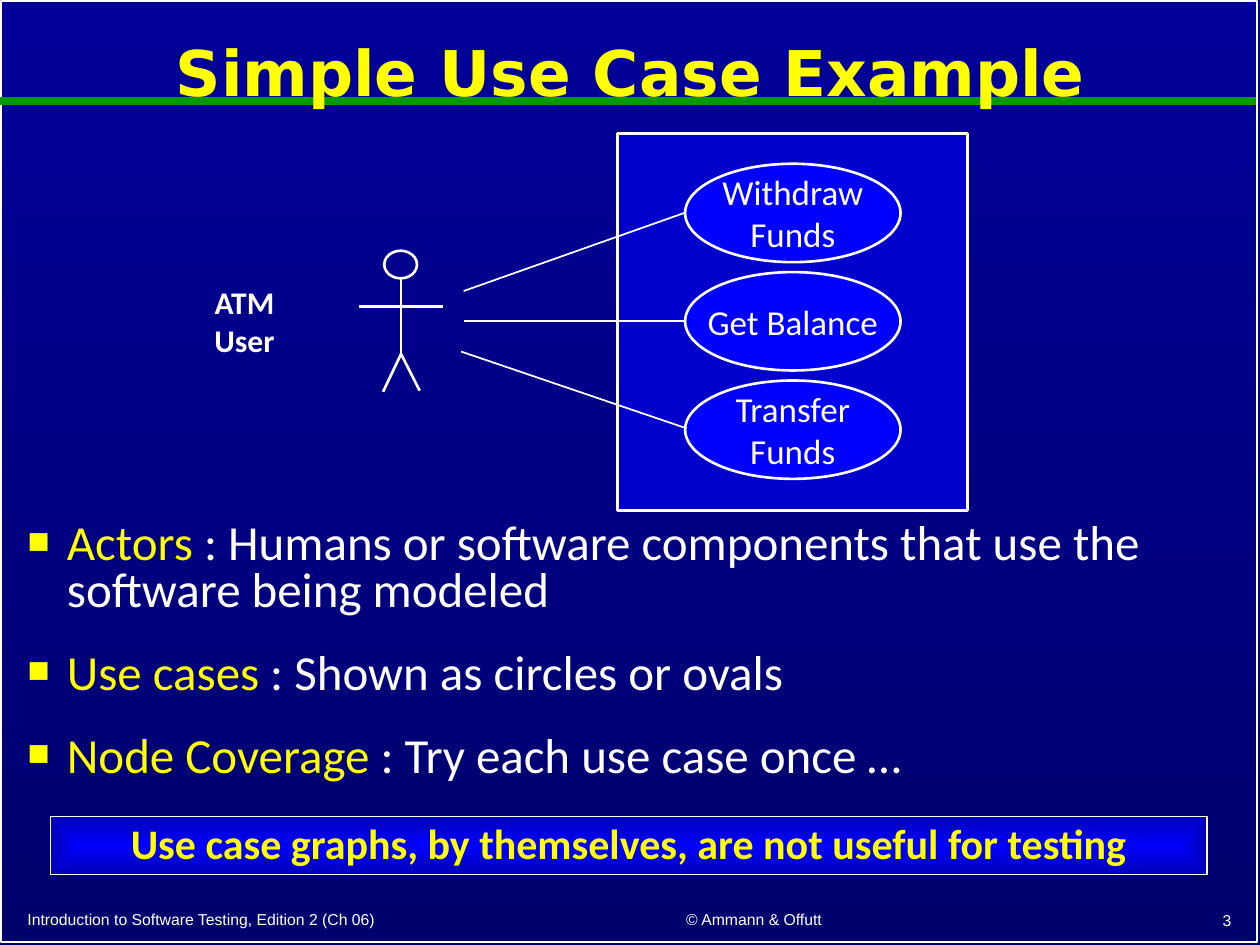
"""Build the simple use case example slide."""
from dataclasses import dataclass

import pptx
import pptx.dml.color
import pptx.enum.shapes
import pptx.enum.text
import pptx.oxml
import pptx.oxml.ns
import pptx.util

Pt = pptx.util.Pt
RGB = pptx.dml.color.RGBColor
ALIGN = pptx.enum.text.PP_ALIGN
ANCHOR = pptx.enum.text.MSO_ANCHOR
SHAPE = pptx.enum.shapes.MSO_SHAPE

WHITE = RGB(0xFF, 0xFF, 0xFF)
YELLOW = RGB(0xFF, 0xFF, 0x00)
GREEN = RGB(0x00, 0x99, 0x00)
SKY_TOP = RGB(0x00, 0x00, 0x99)
SKY_BOTTOM = RGB(0x00, 0x00, 0x6D)
SYSTEM_BLUE = RGB(0x00, 0x00, 0xCC)
OVAL_BLUE = RGB(0x00, 0x00, 0xFF)
BANNER_EDGE = RGB(0x00, 0x00, 0xB6)


@dataclass(frozen=True)
class Box:
    left: float
    top: float
    width: float
    height: float

    def lengths(self):
        return [Pt(v) for v in (self.left, self.top, self.width, self.height)]


@dataclass(frozen=True)
class Style:
    size: float
    font: str = "Calibri"
    color: RGB = WHITE
    bold: bool = False


@dataclass(frozen=True)
class Stroke:
    x1: float
    y1: float
    x2: float
    y2: float


@dataclass(frozen=True)
class UseCase:
    lines: tuple[str, ...]
    label_width: float


@dataclass(frozen=True)
class Term:
    name: str
    meaning: str


@dataclass(frozen=True)
class Footer:
    words: str
    box: Box
    align: ALIGN


FOOTER_STYLE = Style(9, "Arial")
LABEL_STYLE = Style(20)
TERM_STYLE = Style(28, color=YELLOW)
MEANING_STYLE = Style(28)

FOOTERS = (
    Footer("Introduction to Software Testing, Edition 2 (Ch 06)", Box(8.64, 515.5, 297.4, 19.5), ALIGN.LEFT),
    Footer("© Ammann & Offutt", Box(316.8, 515.5, 228.2, 20), ALIGN.CENTER),
    Footer("3", Box(560.9, 516.2, 149.8, 19.5), ALIGN.RIGHT),
)
ACTOR_STROKES = (
    Stroke(205.2, 175, 253.4, 175),
    Stroke(229.2, 159.1, 229.2, 202.3),
    Stroke(229.2, 202.3, 218.9, 223.9),
    Stroke(229.2, 202.3, 239.8, 223.2),
)
ASSOCIATIONS = (
    Stroke(391, 121.7, 265, 166.3),
    Stroke(391.7, 183.6, 265, 183.6),
    Stroke(392.4, 244.8, 263.5, 200.9),
)
USE_CASES = (
    UseCase(("Withdraw", "Funds"), 97.2),
    UseCase(("Get Balance",), 113),
    UseCase(("Transfer", "Funds"), 82.1),
)
FIRST_OVAL = Box(391.5, 93.6, 123.1, 56.2)
OVAL_STEP = 61.92
TERMS = (
    Term("Actors", " : Humans or software components that use the software being modeled"),
    Term("Use cases", " : Shown as circles or ovals"),
    Term("Node Coverage", " : Try each use case once …"),
)


def add_run(paragraph, words: str, style: Style) -> None:
    run = paragraph.add_run()
    run.text = words
    run.font.size = Pt(style.size)
    run.font.name = style.font
    run.font.bold = style.bold
    run.font.color.rgb = style.color


def write_lines(frame, lines, style: Style, align=ALIGN.CENTER, spacing=1.0) -> None:
    for index, words in enumerate(lines):
        paragraph = frame.add_paragraph() if index else frame.paragraphs[0]
        paragraph.alignment = align
        paragraph.line_spacing = spacing
        add_run(paragraph, words, style)


def add_frame(slide, box: Box, anchor=ANCHOR.TOP, wrap=False):
    frame = slide.shapes.add_textbox(*box.lengths()).text_frame
    frame.word_wrap = wrap
    frame.vertical_anchor = anchor
    return frame


def draw_shape(slide, kind, box: Box, weight: float, fill=None):
    shape = slide.shapes.add_shape(kind, *box.lengths())
    shape.shadow.inherit = False
    shape.line.color.rgb = WHITE
    shape.line.width = Pt(weight)
    if fill is None:
        shape.fill.background()
    else:
        shape.fill.solid()
        shape.fill.fore_color.rgb = fill
    return shape


def draw_stroke(slide, stroke: Stroke, weight: float, color=WHITE) -> None:
    connector = slide.shapes.add_connector(
        pptx.enum.shapes.MSO_CONNECTOR.STRAIGHT,
        Pt(stroke.x1), Pt(stroke.y1), Pt(stroke.x2), Pt(stroke.y2))
    connector.line.color.rgb = color
    connector.line.width = Pt(weight)
    properties = connector._element.spPr
    properties.append(pptx.oxml.parse_xml(f'<a:effectLst {pptx.oxml.ns.nsdecls("a")}/>'))


def set_gradient(fill, start: RGB, end: RGB) -> None:
    fill.gradient()
    for stop, color in zip(fill.gradient_stops, (start, end)):
        stop.color.rgb = color


def draw_use_case(slide, case: UseCase, row: int) -> None:
    top = FIRST_OVAL.top + row * OVAL_STEP
    oval = Box(FIRST_OVAL.left, top, FIRST_OVAL.width, FIRST_OVAL.height)
    draw_shape(slide, SHAPE.OVAL, oval, 1.5, OVAL_BLUE)
    height = 7.2 + 24 * len(case.lines)
    label = Box(oval.left + (oval.width - case.label_width) / 2,
                top + (oval.height - height) / 2, case.label_width, height)
    write_lines(add_frame(slide, label), case.lines, LABEL_STYLE)


def write_terms(slide) -> None:
    frame = add_frame(slide, Box(8.64, 295.2, 702, 169.2), wrap=True)
    for index, term in enumerate(TERMS):
        paragraph = frame.add_paragraph() if index else frame.paragraphs[0]
        paragraph.line_spacing = 0.8
        paragraph.space_before = Pt(8.4)
        paragraph.space_after = Pt(12)
        properties = paragraph._p.get_or_add_pPr()
        properties.set("marL", str(Pt(22.5)))
        properties.set("indent", str(Pt(-22.5)))
        namespace = pptx.oxml.ns.nsdecls("a")
        for bullet in (f'<a:buClr {namespace}><a:srgbClr val="{YELLOW}"/></a:buClr>',
                       f'<a:buSzPct {namespace} val="75000"/>',
                       f'<a:buFont {namespace} typeface="Arial"/>',
                       f'<a:buChar {namespace} char="■"/>'):
            properties.append(pptx.oxml.parse_xml(bullet))
        add_run(paragraph, term.name, TERM_STYLE)
        add_run(paragraph, term.meaning, MEANING_STYLE)


def draw_banner(slide) -> None:
    banner = draw_shape(slide, SHAPE.RECTANGLE, Box(28.8, 466.6, 661, 33.1), 1)
    set_gradient(banner.fill, OVAL_BLUE, BANNER_EDGE)
    linear = banner._element.spPr.find(".//" + pptx.oxml.ns.qn("a:lin"))
    linear.getparent().replace(linear, pptx.oxml.parse_xml(
        f'<a:path {pptx.oxml.ns.nsdecls("a")} path="shape">'
        '<a:fillToRect l="50000" t="50000" r="50000" b="50000"/></a:path>'))
    banner.text_frame.word_wrap = True
    banner.text_frame.vertical_anchor = ANCHOR.TOP
    write_lines(banner.text_frame, ["Use case graphs, by themselves, are not useful for testing"],
                Style(24, color=YELLOW, bold=True), spacing=0.9)
    banner.text_frame.paragraphs[0].space_before = Pt(7.2)


def main() -> None:
    deck = pptx.Presentation()
    deck.slide_width, deck.slide_height = Pt(720), Pt(540)
    slide = deck.slides.add_slide(deck.slide_layouts[6])
    set_gradient(slide.background.fill, SKY_TOP, SKY_BOTTOM)
    slide.background.fill.gradient_angle = 270

    draw_shape(slide, SHAPE.RECTANGLE, Box(0.7, 0.7, 717.8, 537.8), 1)
    draw_stroke(slide, Stroke(0, 57.6, 717.8, 57.6), 4.5, GREEN)
    for footer in FOOTERS:
        write_lines(add_frame(slide, footer.box, ANCHOR.MIDDLE), [footer.words], FOOTER_STYLE, footer.align)
    draw_shape(slide, SHAPE.RECTANGLE, Box(352.8, 76.3, 200.2, 215.3), 1.5, SYSTEM_BLUE)
    title = add_frame(slide, Box(8.64, 6.5, 703.4, 74.2), ANCHOR.MIDDLE, wrap=True)
    write_lines(title, ["Simple Use Case Example"], Style(36, "DejaVu Sans", YELLOW, True), spacing=0.9)
    write_terms(slide)

    draw_shape(slide, SHAPE.OVAL, Box(219.6, 143.3, 18.7, 15.8), 1.5)
    for stroke in ACTOR_STROKES:
        draw_stroke(slide, stroke, 1.5)
    for row, case in enumerate(USE_CASES):
        draw_use_case(slide, case, row)
    for stroke in ASSOCIATIONS:
        draw_stroke(slide, stroke, 1)
    write_lines(add_frame(slide, Box(111.6, 158.4, 56.2, 50.4)), ["ATM", "User"], Style(18, bold=True))
    draw_banner(slide)
    deck.save("out.pptx")


if __name__ == "__main__":
    main()
